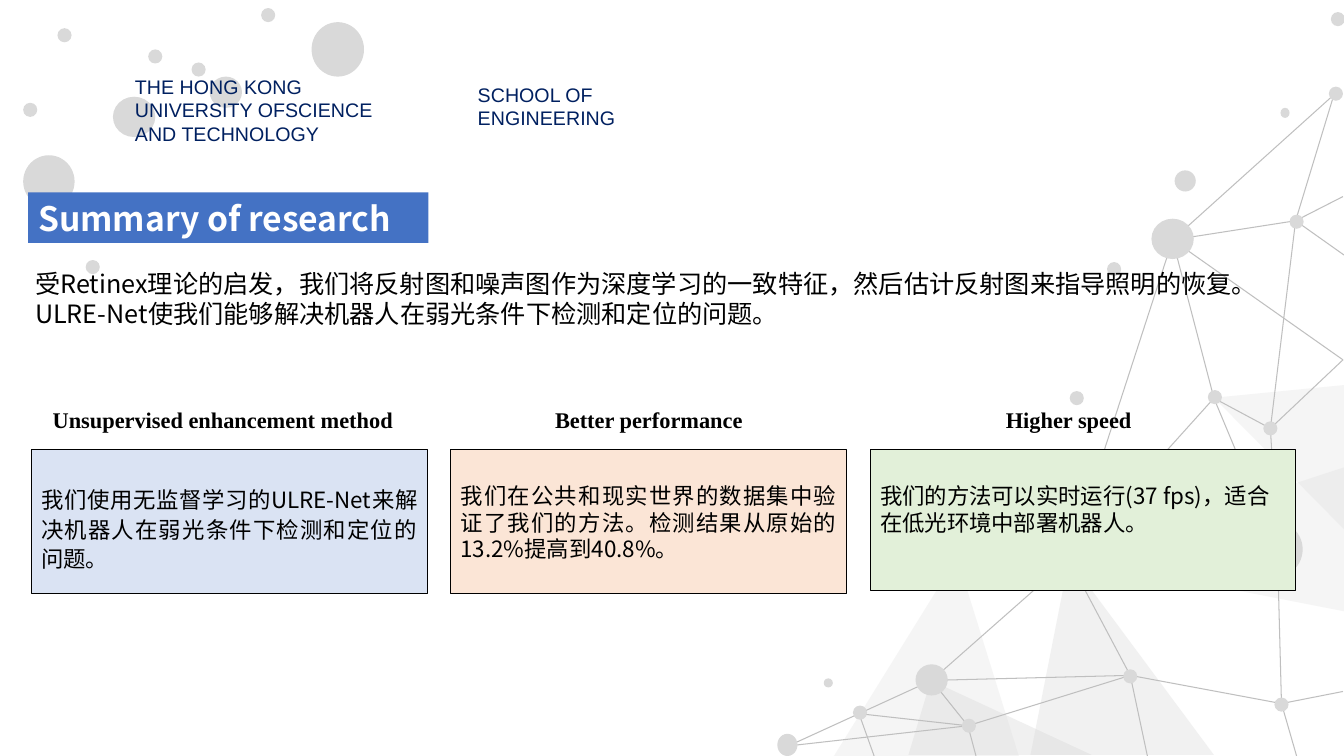
from dataclasses import dataclass

from lxml import etree
from pptx import Presentation
from pptx.dml.color import RGBColor
from pptx.enum.dml import MSO_FILL
from pptx.enum.shapes import MSO_CONNECTOR, MSO_SHAPE
from pptx.enum.text import MSO_ANCHOR, PP_ALIGN
from pptx.oxml.ns import qn
from pptx.util import Inches, Pt

RECTANGLE = MSO_SHAPE.RECTANGLE
TRIANGLE = MSO_SHAPE.ISOSCELES_TRIANGLE
CIRCLE = MSO_SHAPE.FLOWCHART_CONNECTOR
STRAIGHT = MSO_CONNECTOR.STRAIGHT
TOP = MSO_ANCHOR.TOP
LEFT, CENTER, JUSTIFY = PP_ALIGN.LEFT, PP_ALIGN.CENTER, PP_ALIGN.JUSTIFY
SOLID = MSO_FILL.SOLID


@dataclass(frozen=True)
class Theme:
    navy: str = "002060"
    blue: str = "4472C4"
    white: str = "FFFFFF"
    black: str = "000000"
    dot: str = "D9D9D9"
    link: str = "BFBFBF"
    sans: str = "Arial"
    chinese: str = "Noto Sans CJK SC"
    serif: str = "Times New Roman"
    school_size: int = 14
    card_size: int = 16
    body_size: int = 18
    title_size: int = 24
    hairline: float = 0.75


THEME = Theme()


@dataclass(frozen=True)
class Area:
    left: float
    top: float
    width: float
    height: float

    def lengths(self) -> list:
        return [Inches(n) for n in (self.left, self.top, self.width, self.height)]


@dataclass(frozen=True)
class Facet:
    area: Area
    peak: float
    opacity: int
    rotation: int = 0


@dataclass(frozen=True)
class Style:
    font: str
    size: int
    color: str
    bold: bool = False
    align: PP_ALIGN = LEFT
    spacing: float = 1.0


@dataclass(frozen=True)
class Card:
    heading: str
    heading_left: float
    heading_width: float
    text: str
    width: float
    height: float
    fill: str
    align: PP_ALIGN = JUSTIFY
    spacing: float = 1.0
    inset: float = 0.32


FACETS = [
    Facet(Area(11.25, 3.98, 1.43, 2.74), 0.374, 25, 270),
    Facet(Area(11.97, 3.89, 1.43, 1.29), 0.912, 25, 270),
    Facet(Area(8.24, 5.53, 1.88, 2.02), 0.666, 25),
    Facet(Area(9.01, 6.75, 1.82, 0.74), 0.122, 39),
    Facet(Area(10.22, 5.55, 1.82, 1.94), 0.21, 35),
]

NODES = {
    "corner": (7.82, 7.4), "low": (8.52, 7.08), "hub": (9.24, 6.75),
    "dip": (9.6, 7.2), "base": (11.21, 6.7), "foot": (12.71, 6.98),
    "core": (12.67, 5.46), "bend": (10.6, 5.55), "mid": (12.04, 3.95),
    "right": (12.6, 4.25), "upper": (11.63, 2.38), "high": (12.85, 2.19),
    "peak": (13.23, 0.94),
    "exit_low": (8.67, 7.5), "exit_dip": (9.68, 7.5), "exit_base": (11.38, 7.5),
    "exit_foot": (12.86, 7.5), "edge_foot": (13.32, 6.86),
    "edge_right": (13.32, 3.57), "edge_high": (13.32, 1.95), "edge_fall": (13.33, 2.53),
}

LINKS = {
    "low": ["corner", "hub", "dip", "exit_low"],
    "dip": ["corner", "hub", "base", "exit_dip"],
    "base": ["hub", "foot", "bend", "exit_base"],
    "foot": ["core", "exit_foot", "edge_foot"],
    "bend": ["hub", "mid", "upper"],
    "right": ["core", "mid", "high", "edge_right"],
    "mid": ["core", "upper"],
    "upper": ["high", "peak", "edge_right"],
    "high": ["peak", "edge_high", "edge_fall"],
}

SMALL = 0.14
SMALL_DOTS = [
    (12.64, 6.92), (11.14, 6.64), (9.54, 7.13), (8.46, 7), (11.98, 3.87),
    (12.53, 4.18), (13.18, 0.86), (12.79, 2.13), (13.2, 0.12), (10.98, 2.6),
    (10.61, 3.88), (1.9, 0.62), (2.59, 0.08), (1.47, 0.49), (0.57, 0.28),
    (0.85, 2.58), (0.23, 1.02),
]
OTHER_DOTS = [
    Area(12.4, 5.18, 0.52, 0.54), Area(9.08, 6.59, 0.32, 0.31),
    Area(7.71, 7.28, 0.2, 0.22), Area(11.42, 2.17, 0.42, 0.4),
    Area(8.17, 6.73, 0.09, 0.09), Area(11.65, 1.69, 0.21, 0.21),
    Area(12.7, 1.07, 0.09, 0.1), Area(3.09, 0.22, 0.52, 0.54),
    Area(0.23, 1.54, 0.51, 0.52), Area(1.12, 0.96, 0.42, 0.4),
    Area(2.08, 0.76, 0.32, 0.31),
]

CARD_LEFT, CARD_TOP, CARD_PITCH = 0.31, 4.46, 4.16
CARDS = [
    Card("Unsupervised enhancement method", 0.08, 4.26,
         "我们使用无监督学习的ULRE-Net来解决机器人在弱光条件下检测和定位的问题。",
         3.93, 1.43, "DAE3F3", spacing=1.1, inset=0.34),
    Card("Better performance", 4.86, 3.15,
         "我们在公共和现实世界的数据集中验证了我们的方法。检测结果从原始的13.2%提高到40.8%。",
         3.93, 1.43, "FBE5D6"),
    Card("Higher speed", 9.57, 2.06,
         "我们的方法可以实时运行(37 fps)，适合在低光环境中部署机器人。",
         4.22, 1.4, "E2F0D9", align=LEFT),
]


def add_figure(page, kind: MSO_SHAPE, area: Area, fill: str, line: str = ""):
    shape = page.shapes.add_shape(kind, *area.lengths())
    shape.shadow.inherit = False
    shape.fill.solid()
    shape.fill.fore_color.rgb = RGBColor.from_string(fill)
    if line:
        shape.line.color.rgb = RGBColor.from_string(line)
        shape.line.width = Pt(THEME.hairline)
    else:
        shape.line.fill.background()
    return shape


def add_facet(page, facet: Facet) -> None:
    shape = add_figure(page, TRIANGLE, facet.area, THEME.dot)
    shape.adjustments[0] = facet.peak
    shape.rotation = facet.rotation
    color = shape.fill._xPr.find(qn("a:solidFill"))[0]
    etree.SubElement(color, qn("a:alpha")).set("val", str(facet.opacity * 1000))


def add_link(page, start: str, end: str) -> None:
    points = [Inches(n) for n in NODES[start] + NODES[end]]
    link = page.shapes.add_connector(STRAIGHT, *points)
    link.line.color.rgb = RGBColor.from_string(THEME.link)
    link.line.width = Pt(THEME.hairline)
    etree.SubElement(link._element.spPr, qn("a:effectLst"))


def write(box, lines: list[str], style: Style, inset: float = 0.05) -> None:
    frame = box.text_frame
    frame_format = {"word_wrap": True, "vertical_anchor": TOP, "margin_top": Inches(inset)}
    for name, value in frame_format.items():
        setattr(frame, name, value)
    for index, line in enumerate(lines):
        para = frame.add_paragraph() if index else frame.paragraphs[0]
        para.alignment = style.align
        para.line_spacing = style.spacing
        span = para.add_run()
        span.text = line
        font_format = {"name": style.font, "size": Pt(style.size), "bold": style.bold}
        for name, value in font_format.items():
            setattr(span.font, name, value)
        span.font.color.rgb = RGBColor.from_string(style.color)
        east_asian = etree.SubElement(span.font._element, qn("a:ea"))
        east_asian.set("typeface", style.font)


def add_text(page, area: Area, lines: list[str], style: Style) -> None:
    write(page.shapes.add_textbox(*area.lengths()), lines, style)


def add_card(page, index: int, card: Card) -> None:
    area = Area(CARD_LEFT + index * CARD_PITCH, CARD_TOP, card.width, card.height)
    box = add_figure(page, RECTANGLE, area, card.fill, THEME.black)
    write(box, [card.text], Style(THEME.chinese, THEME.card_size, THEME.black,
                                  align=card.align, spacing=card.spacing), card.inset)
    add_text(page, Area(card.heading_left, 3.98, card.heading_width, 0.37), [card.heading],
             Style(THEME.serif, THEME.card_size, THEME.black, True, CENTER))


def main() -> None:
    deck = Presentation()
    deck.slide_width, deck.slide_height = Inches(13.33), Inches(7.5)
    page = deck.slides.add_slide(deck.slide_layouts[6])

    for facet in FACETS:
        add_facet(page, facet)
    for start, ends in LINKS.items():
        for end in ends:
            add_link(page, start, end)
    for area in [Area(left, top, SMALL, SMALL) for left, top in SMALL_DOTS] + OTHER_DOTS:
        add_figure(page, CIRCLE, area, THEME.dot)

    school = Style(THEME.sans, THEME.school_size, THEME.navy)
    add_text(page, Area(1.24, 0.69, 2.75, 0.81),
             ["THE HONG KONG", "UNIVERSITY OFSCIENCE", "AND TECHNOLOGY"], school)
    add_text(page, Area(4.64, 0.77, 1.63, 0.57), ["SCHOOL OF", "ENGINEERING"], school)

    banner = add_figure(page, RECTANGLE, Area(0.28, 1.91, 3.97, 0.5), THEME.blue)
    write(banner, ["Summary of research"],
          Style(THEME.chinese, THEME.title_size, THEME.white, True))
    add_text(page, Area(0.25, 2.61, 12.31, 0.71),
             ["受Retinex理论的启发，我们将反射图和噪声图作为深度学习的一致特征，"
              "然后估计反射图来指导照明的恢复。"
              "ULRE-Net使我们能够解决机器人在弱光条件下检测和定位的问题。"],
             Style(THEME.chinese, THEME.body_size, THEME.black))
    for index, card in enumerate(CARDS):
        add_card(page, index, card)
    deck.save("out.pptx")


if __name__ == "__main__":
    main()
